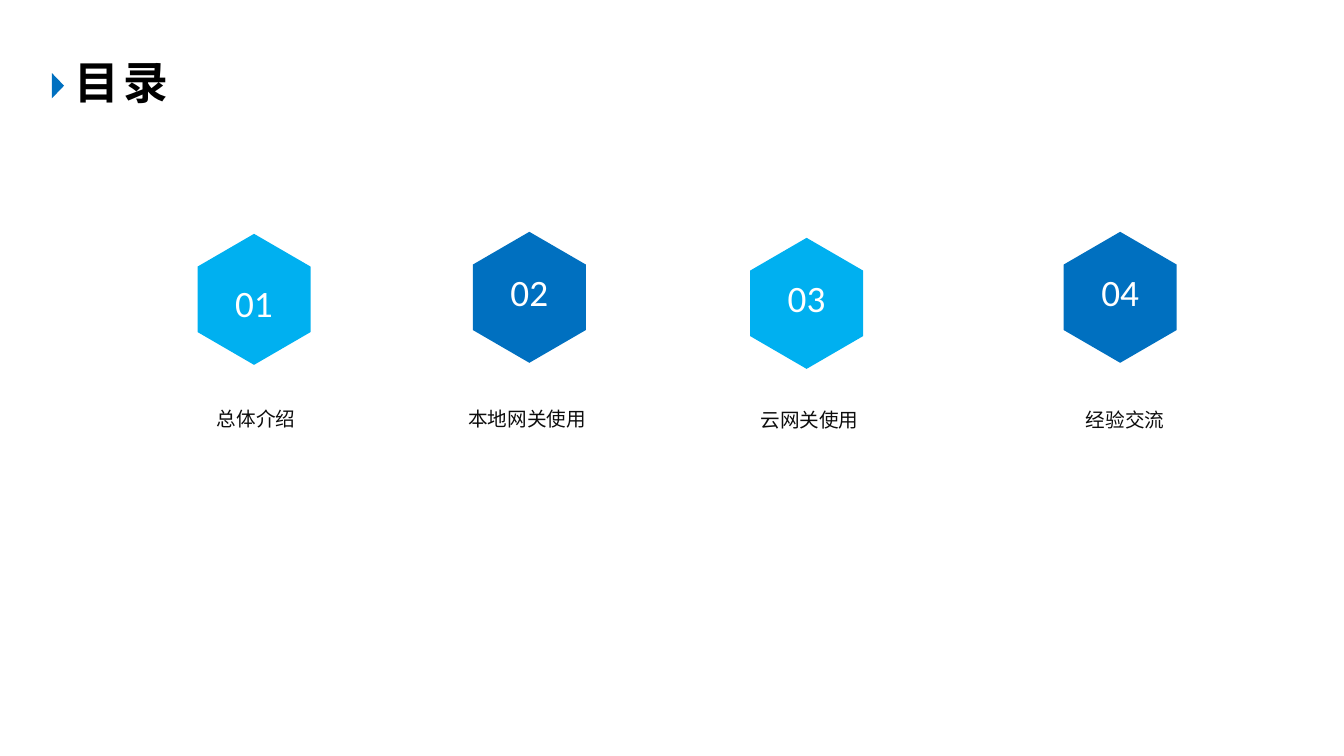
from pptx import Presentation
from pptx import util as u
from pptx.dml.color import RGBColor
from pptx.enum import shapes, text

CHINESE_FONT = "Noto Sans CJK SC"
LIGHT_BLUE, DARK_BLUE = "00B0F0", "0070C0"
HEXAGON_WIDTH, HEXAGON_HEIGHT = 1.12, 1.3


def color(hex_string):
    """Return the colour for a hex string."""
    return RGBColor.from_string(hex_string)


def fill_plain(shape, hex_string):
    """Give a shape a solid fill without line or shadow."""
    shape.shadow.inherit = False
    shape.fill.solid()
    shape.fill.fore_color.rgb = color(hex_string)
    shape.line.fill.background()


def add_run(paragraph, words, size, font, hex_string, bold=False):
    """Append a formatted run and return its properties element."""
    run = paragraph.add_run()
    run.text = words
    run.font.size = u.Pt(size)
    run.font.name = font
    run.font.bold = bold
    run.font.color.rgb = color(hex_string)
    properties = run.font._element
    if font == CHINESE_FONT:
        east_asian = properties.makeelement(properties.latin.tag.replace("latin", "ea"), {"typeface": font})
        properties.latin.addnext(east_asian)
    return properties


def add_text_box(slide, left, top, width, height, top_inset):
    """Add an empty text box and return its frame."""
    frame = slide.shapes.add_textbox(*map(u.Inches, (left, top, width, height))).text_frame
    frame.margin_top = u.Inches(top_inset)
    return frame


def add_title(slide, left, top, words):
    """Draw the pointer and the heading beside it."""
    pointer = slide.shapes.add_shape(
        shapes.MSO_SHAPE.ISOSCELES_TRIANGLE,
        u.Inches(left), u.Inches(top + 0.25), u.Inches(0.25), u.Inches(0.12))
    pointer.rotation = 90
    fill_plain(pointer, DARK_BLUE)
    frame = add_text_box(slide, left + 0.19, top, 1.18, 0.64, 0)
    frame.word_wrap = False
    properties = add_run(frame.paragraphs[0], words, 32, CHINESE_FONT, "000000", bold=True)
    properties.set("spc", "300")


def add_hexagon(slide, left, top, number, hex_string, number_inset):
    """Draw an upright hexagon holding its number."""
    right, bottom = left + HEXAGON_WIDTH, top + HEXAGON_HEIGHT
    middle = left + HEXAGON_WIDTH / 2
    upper, lower = top + HEXAGON_HEIGHT / 4, bottom - HEXAGON_HEIGHT / 4
    builder = slide.shapes.build_freeform(u.Inches(middle), u.Inches(bottom))
    corners = [(left, lower), (left, upper), (middle, top), (right, upper), (right, lower)]
    builder.add_line_segments([(u.Inches(x), u.Inches(y)) for x, y in corners])
    hexagon = builder.convert_to_shape()
    fill_plain(hexagon, hex_string)
    frame = hexagon.text_frame
    frame.word_wrap = True
    frame.vertical_anchor = text.MSO_ANCHOR.TOP
    frame.margin_top = u.Inches(number_inset)
    paragraph = frame.paragraphs[0]
    paragraph.alignment = text.PP_ALIGN.CENTER
    add_run(paragraph, number, 26.6, "Calibri", "FFFFFF")


def add_label(slide, left, top, width, words):
    """Write a centred chapter name."""
    frame = add_text_box(slide, left, top, width, 0.34, 0.01)
    frame.word_wrap = True
    paragraph = frame.paragraphs[0]
    paragraph.alignment = text.PP_ALIGN.CENTER
    add_run(paragraph, words, 14, CHINESE_FONT, "0D0D0D")


def add_contents_slide(presentation):
    """Build the contents slide with its four chapters."""
    slide = presentation.slides.add_slide(presentation.slide_layouts[6])
    add_title(slide, 0.45, 0.54, "目录")
    chapters = [
        ("总体介绍", 1.96, 2.32, 0.46, 1.62, 4.03, 1.84),
        ("本地网关使用", 4.69, 2.3, 0.37, 4.31, 4.03, 1.84),
        ("云网关使用", 7.44, 2.36, 0.37, 7.11, 4.04, 1.84),
        ("经验交流", 10.55, 2.3, 0.37, 10.08, 4.04, 2.16),
    ]
    for index, (name, left, top, inset, label_left, label_top, label_width) in enumerate(chapters):
        fill = DARK_BLUE if index % 2 else LIGHT_BLUE
        add_hexagon(slide, left, top, f"{index + 1:02d}", fill, inset)
        add_label(slide, label_left, label_top, label_width, name)


def main():
    """Create and save the presentation."""
    presentation = Presentation()
    presentation.slide_width = u.Inches(13.33)
    presentation.slide_height = u.Inches(7.5)
    add_contents_slide(presentation)
    presentation.save("out.pptx")


if __name__ == "__main__":
    main()
